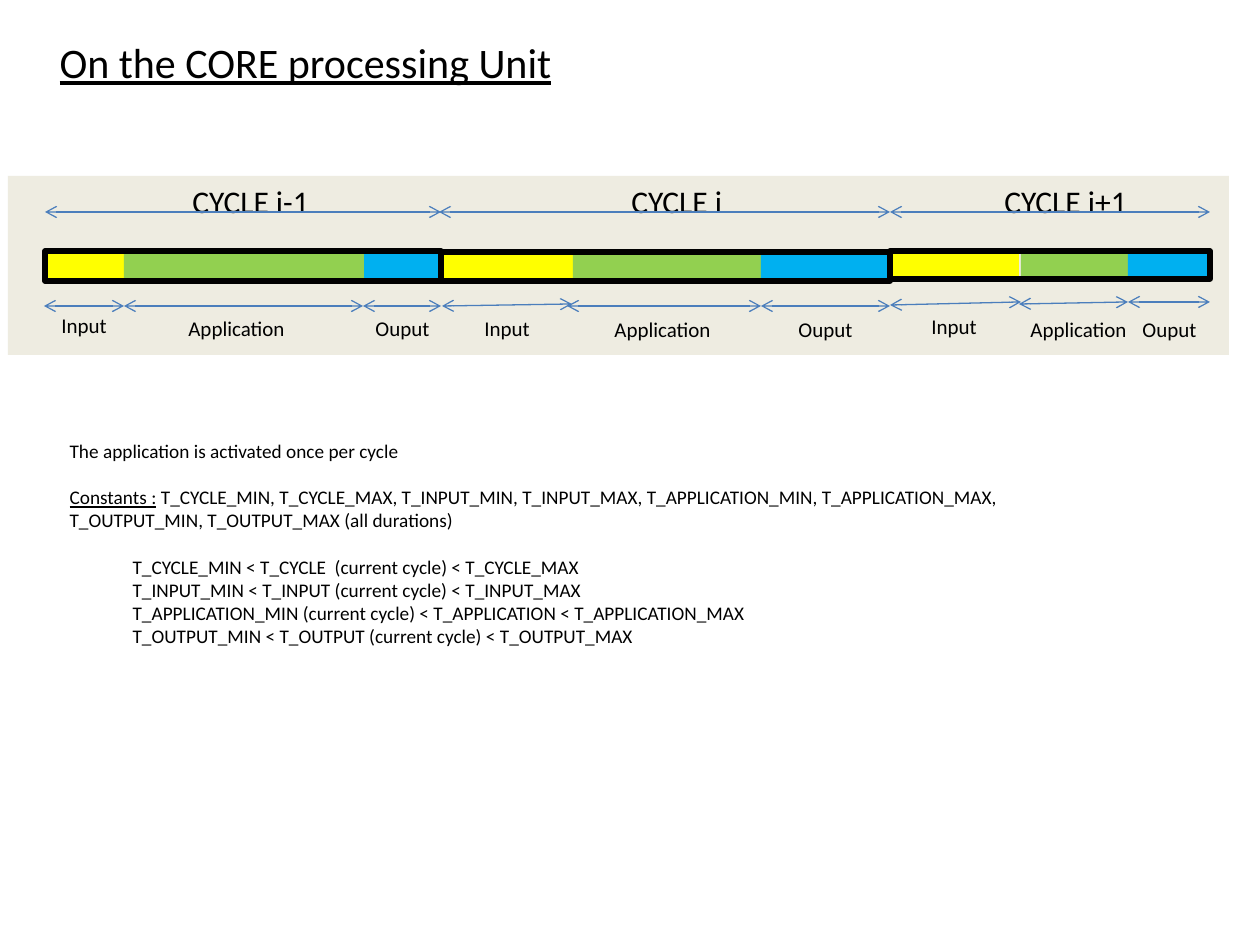
from dataclasses import dataclass

from lxml import etree
from pptx import Presentation
from pptx import util as u
from pptx.dml.color import RGBColor
from pptx.enum import shapes, text
from pptx.oxml import ns

SCALE = 914400 / 126
FONT = "Calibri"
BLACK, BLUE, PANEL = "000000", "4B7EBC", "EEECE1"


@dataclass
class Cycle:
    name: str
    label: tuple[int, int]            # left, width
    frame: tuple[int, int, int, int]  # left, top, width, height
    arrow: tuple[int, int]            # from x, to x


@dataclass
class Phase:
    name: str
    bar: tuple[int, int]              # left, right
    arrow: tuple[int, int, int, int]  # from x, y, to x, y
    label: tuple[int, int]            # left, top
    top: int = 251


# Colour and label width of each kind of phase
KINDS = {
    "Input": ("FFFF00", 71),
    "Application": ("92D050", 122),
    "Ouput": ("00B0F0", 79),
}
CYCLES = [
    Cycle("CYCLE i-1", (180, 144), (45, 251, 396, 30), (45, 441)),
    Cycle("CYCLE i", (619, 117), (441, 252, 449, 29), (439, 890)),
    Cycle("CYCLE i+1", (992, 150), (890, 251, 320, 28), (890, 1210)),
]
PHASES = [
    Phase("Input", (47, 124), (44, 306, 124, 306), (49, 306)),
    Phase("Application", (124, 364), (124, 306, 363, 306), (176, 309)),
    Phase("Ouput", (364, 443), (363, 306, 441, 306), (363, 309)),
    Phase("Input", (443, 573), (442, 306, 572, 304), (472, 309)),
    Phase("Application", (573, 761), (567, 306, 761, 306), (602, 310)),
    Phase("Ouput", (761, 890), (761, 306, 890, 306), (786, 310)),
    Phase("Input", (890, 1019), (890, 305, 1021, 302), (919, 307), 252),
    Phase("Application", (1021, 1128), (1019, 304, 1128, 302), (1018, 310)),
    Phase("Ouput", (1128, 1210), (1128, 302, 1210, 302), (1130, 310)),
]
# Text, underlined lead, indented, gap above
NOTES = [
    ("The application is activated once per cycle", "", False, False),
    (" T_CYCLE_MIN, T_CYCLE_MAX, T_INPUT_MIN, T_INPUT_MAX, "
     "T_APPLICATION_MIN, T_APPLICATION_MAX,", "Constants :", False, True),
    ("T_OUTPUT_MIN, T_OUTPUT_MAX (all durations)", "", False, False),
    ("T_CYCLE_MIN < T_CYCLE  (current cycle) < T_CYCLE_MAX", "", True, True),
    ("T_INPUT_MIN < T_INPUT (current cycle) < T_INPUT_MAX", "", True, False),
    ("T_APPLICATION_MIN (current cycle) < T_APPLICATION < T_APPLICATION_MAX",
     "", True, False),
    ("T_OUTPUT_MIN < T_OUTPUT (current cycle) < T_OUTPUT_MAX", "", True, False),
]


def px(*vals: int) -> list[int]:
    return [round(v * SCALE) for v in vals]


def color(code: str) -> RGBColor:
    return RGBColor.from_string(code)


def style(font, size: float, under: bool = False) -> None:
    font.name, font.size, font.underline = FONT, u.Pt(size), under
    font.color.rgb = color(BLACK)


def rect(box: tuple, fill: str = "", line: str = "") -> None:
    shape = slide.shapes.add_shape(shapes.MSO_SHAPE.RECTANGLE, *px(*box))
    shape.shadow.inherit = False
    if fill:
        shape.fill.solid()
        shape.fill.fore_color.rgb = color(fill)
    else:
        shape.fill.background()
    if line:
        shape.line.color.rgb = color(line)
        shape.line.width = u.Pt(3)
    else:
        shape.line.fill.background()


def arrow(ends: tuple) -> None:
    link = slide.shapes.add_connector(shapes.MSO_CONNECTOR.STRAIGHT, *px(*ends))
    link.line.color.rgb = color(BLUE)
    link.line.width = u.Pt(0.75)
    edge = link.line._get_or_add_ln()
    for tag in ("a:headEnd", "a:tailEnd"):
        etree.SubElement(edge, ns.qn(tag), type="arrow")
    etree.SubElement(link._element.spPr, ns.qn("a:effectLst"))


def label(words: str, box: tuple, size: float) -> None:
    frame = slide.shapes.add_textbox(*px(*box)).text_frame
    frame.word_wrap = False
    frame.text = words
    style(frame.paragraphs[0].runs[0].font, size)


def place(holder, box: tuple):
    holder.left, holder.top, holder.width, holder.height = px(*box)
    frame = holder.text_frame
    frame.word_wrap = False
    frame.auto_size = text.MSO_AUTO_SIZE.NONE
    frame.vertical_anchor = text.MSO_ANCHOR.TOP
    return frame


deck = Presentation()
deck.slide_width, deck.slide_height = u.Inches(10), u.Inches(7.5)
slide = deck.slides.add_slide(deck.slide_layouts[1])

# Title
head = place(slide.shapes.title, (47, 30, 522, 63))
head.text = "On the CORE processing Unit"
head.paragraphs[0].alignment = text.PP_ALIGN.LEFT
style(head.paragraphs[0].runs[0].font, 24, True)

# Timeline bars
rect((8, 176, 1221, 179), PANEL)
for phase in PHASES:
    left, right = phase.bar
    rect((left, phase.top, right - left, 30), KINDS[phase.name][0])
for cycle in CYCLES:
    rect(cycle.frame, line=BLACK)

# Cycle and phase labels with their spans
for cycle in CYCLES:
    left, width = cycle.label
    label(cycle.name, (left, 176, width, 51), 18)
    arrow((cycle.arrow[0], 212, cycle.arrow[1], 212))
for phase in PHASES:
    arrow(phase.arrow)
    label(phase.name, (*phase.label, KINDS[phase.name][1], 38), 12)

# Notes
body = place(slide.placeholders[1], (57, 433, 956, 223))
body.text = "\n".join(note[0] for note in NOTES)
for para, (words, lead, inner, gap) in zip(body.paragraphs, NOTES):
    if lead:
        para.text = lead
        para.add_run().text = words
    para.level = int(inner)
    para.alignment = text.PP_ALIGN.LEFT
    para.space_before = u.Pt(13.2 if gap else 0)
    props = para._p.get_or_add_pPr()
    props.set("marL", str(u.Inches(0.5) if inner else 0))
    props.set("indent", "0")
    etree.SubElement(props, ns.qn("a:buNone"))
    for run in para.runs:
        style(run.font, 11, run.text == lead)

deck.save("out.pptx")
